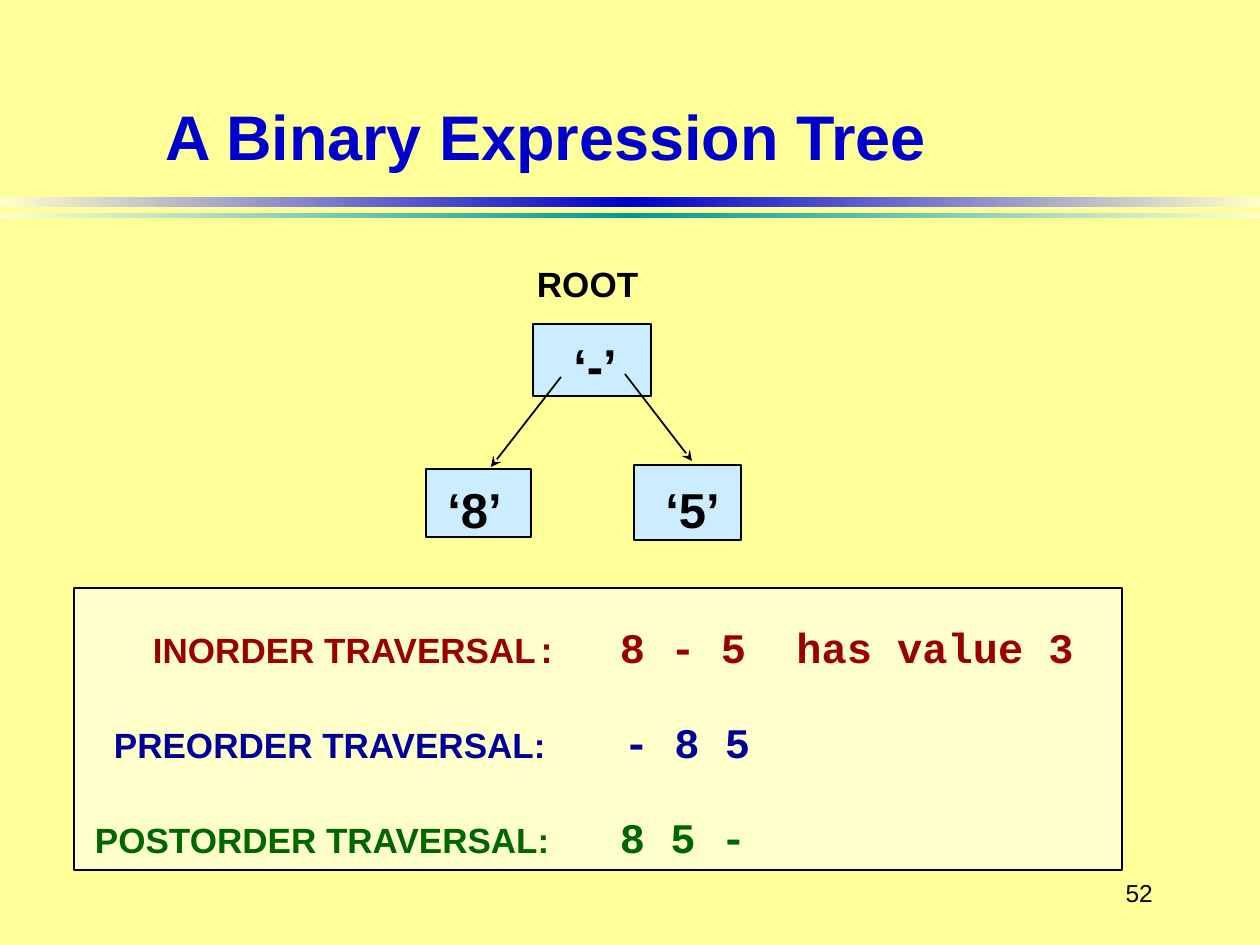
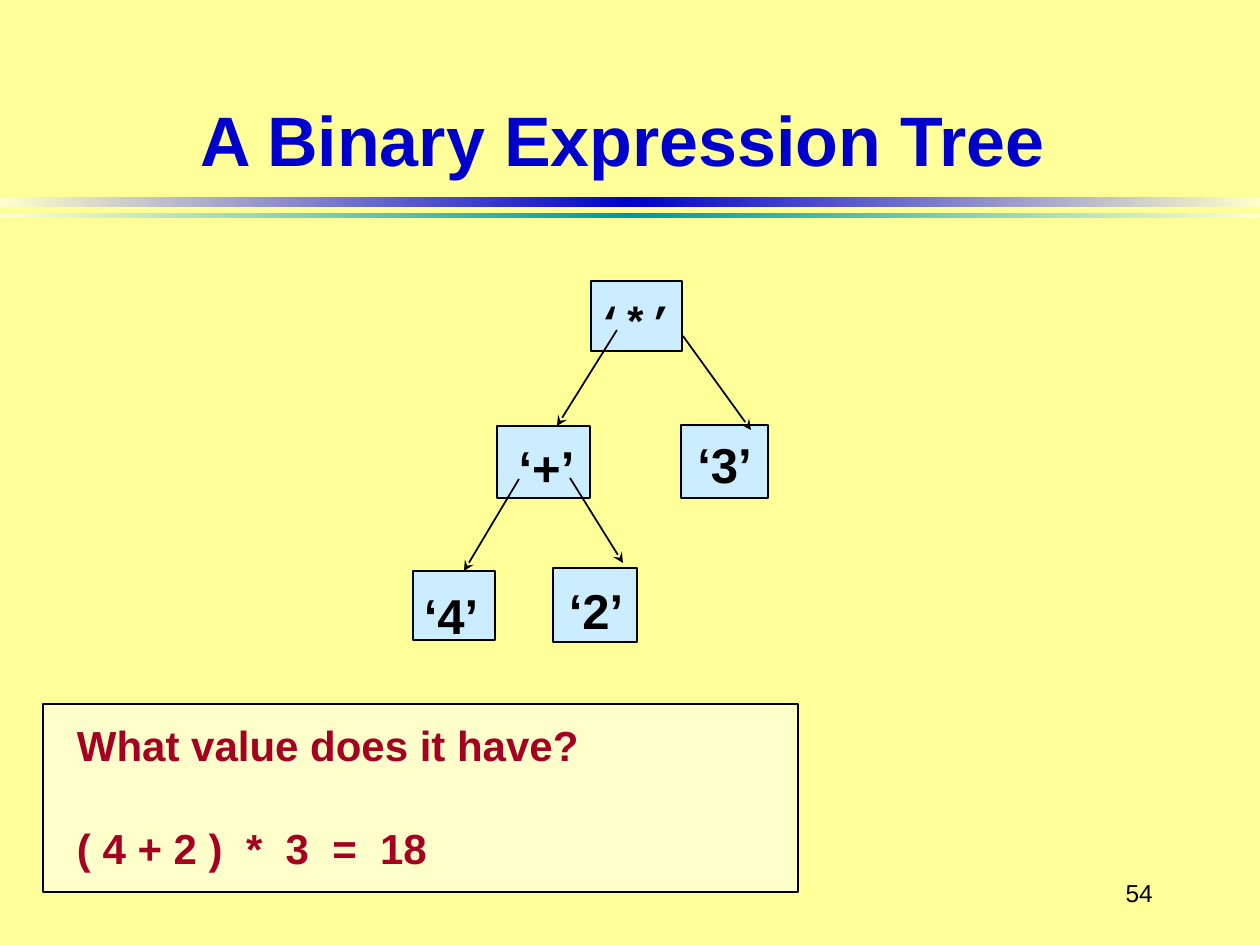
from copy import deepcopy

from pptx import Presentation
from pptx.dml.color import RGBColor
from pptx.enum import shapes, text
from pptx.oxml.ns import qn
from pptx.oxml.xmlchemy import OxmlElement
from pptx.util import Emu, Pt

PX = 914400 // 126  # one px in EMU

THEME = {
    "sans": "Arial", "mono": "Courier New",
    "paper": "FFFF99", "cream": "FFFFCC", "node": "CCECFF", "ink": "000000",
    "title": "0000CC", "teal": "009999", "answer": "A50021",
    "inorder": "990000", "preorder": "000099", "postorder": "006600",
    "label": 20, "value": 24, "symbol": 28, "number": 14,
}

# Bands under the title: top, height, middle colour
BANDS = [(197, 10, "title"), (213, 5, "teal")]
NUMBER_BOX = (1081, 861, 84, 63)

# Runs are (text, size, font); rows are (colour, tab stops, runs).
# Nodes are (box, label, size, font, label shift); arrows run parent to child.
SLIDES = [
    {
        "title": ("A Binary Expression Tree", 36, (84, 73, 924, 106)),
        "number": "52",
        "caption": ("ROOT", (525, 256, 127, 54)),
        "nodes": [
            ((533, 324, 118, 72), "‘-’", "symbol", "sans", (3, 5)),
            ((426, 469, 105, 68), "‘8’", "symbol", "sans", (-4, 6)),
            ((634, 465, 107, 75), "‘5’", "symbol", "sans", (5, 6)),
        ],
        "arrows": [((625, 374), (692, 461)), ((561, 377), (491, 467))],
        "panel": {
            "box": (74, 588, 1048, 282), "inset": (21, 34), "gap": 25.3,
            "rows": [
                ("inorder", (58, 525), [("\tINORDER TRAVERSAL", "label", "sans"),
                                        (":\t", "label", "mono"),
                                        ("8 - 5  has value 3", "value", "mono")]),
                ("preorder", (19, 529), [("\tPREORDER TRAVERSAL:\t", "label", "sans"),
                                         ("- 8 5", "value", "mono")]),
                ("postorder", (525,), [("POSTORDER TRAVERSAL:\t", "label", "sans"),
                                       ("8 5 -", "value", "mono")]),
            ],
        },
    },
    {
        "title": ("A Binary Expression Tree", 40, (82, 29, 1081, 158)),
        "number": "54",
        "nodes": [
            ((591, 281, 91, 70), "‘*’", "value", "mono", (-1, 5)),
            ((497, 426, 93, 72), "‘+’", "symbol", "sans", (3, 5)),
            ((681, 425, 87, 73), "‘3’", "symbol", "sans", (0, 2)),
            ((413, 571, 82, 69), "‘4’", "symbol", "sans", (-3, 9)),
            ((553, 568, 84, 74), "‘2’", "symbol", "sans", (1, 5)),
        ],
        "arrows": [((683, 336), (751, 430)), ((617, 330), (557, 426)),
                   ((570, 478), (623, 563)), ((519, 479), (464, 571))],
        "panel": {
            "box": (43, 704, 755, 188), "inset": (34, 16), "gap": 29.8,
            "rows": [
                ("answer", (), [("What value does it have?", "value", "sans")]),
                ("answer", (), [("( 4 + 2 )  *  3  =  18", "value", "sans")]),
            ],
        },
    },
]


def px(*lengths):
    return [Emu(n * PX) for n in lengths]


def rgb(name):
    return RGBColor.from_string(THEME[name])


def set_attrs(obj, values):
    for name, value in values.items():
        setattr(obj, name, value)


def set_frame(tf, anchor, insets=(0, 0, 0, 0), wrap=True):
    left, top, right, bottom = px(*insets)
    set_attrs(tf, {"margin_left": left, "margin_top": top, "margin_right": right,
                   "margin_bottom": bottom, "vertical_anchor": anchor,
                   "word_wrap": wrap, "auto_size": text.MSO_AUTO_SIZE.NONE})


def add_run(p, words, size, font="sans", color="ink", bold=True):
    r = p.add_run()
    r.text = words
    set_attrs(r.font, {"name": THEME[font], "size": Pt(THEME.get(size, size)), "bold": bold})
    r.font.color.rgb = rgb(color)


def add_tabs(p, stops):
    tabs = OxmlElement("a:tabLst")
    for stop in stops:
        tab = OxmlElement("a:tab")
        tab.set("pos", str(stop * PX))
        tab.set("algn", "l")
        tabs.append(tab)
    p._p.get_or_add_pPr().append(tabs)


def add_box(s, box, fill):
    sp = s.shapes.add_shape(shapes.MSO_SHAPE.RECTANGLE, *px(*box))
    sp.shadow.inherit = False
    sp.fill.solid()
    sp.fill.fore_color.rgb = rgb(fill)
    sp.line.color.rgb = rgb("ink")
    sp.line.width = Pt(1)
    return sp


def add_label(s, box, words, size, align, bold=True):
    tf = s.shapes.add_textbox(*px(*box)).text_frame
    set_frame(tf, text.MSO_ANCHOR.MIDDLE, (12, 6, 12, 6))
    tf.paragraphs[0].alignment = align
    add_run(tf.paragraphs[0], words, size, bold=bold)


def add_band(s, top, height, color):
    sp = add_box(s, (0, top, 1260, height), "cream")
    sp.line.fill.background()
    sp.fill.gradient()
    sp.fill.gradient_angle = 0
    stops = sp._element.spPr.find(".//" + qn("a:gsLst"))
    stops.append(deepcopy(stops[0]))
    for stop, name, position in zip(sp.fill.gradient_stops, ("cream", color, "cream"), (0, 0.5, 1)):
        stop.color.rgb = rgb(name)
        stop.position = position


def add_title(s, words, size, box):
    sp = s.shapes.title
    set_attrs(sp, dict(zip(("left", "top", "width", "height"), px(*box))))
    set_frame(sp.text_frame, text.MSO_ANCHOR.BOTTOM, (12, 6, 12, 6))
    p = sp.text_frame.paragraphs[0]
    p.alignment = text.PP_ALIGN.CENTER
    add_run(p, words, size, color="title")


def add_node(s, box, words, size, font, shift):
    tf = add_box(s, box, "node").text_frame
    # An inset on one side moves centred text by half its size
    dx, dy = shift
    set_frame(tf, text.MSO_ANCHOR.MIDDLE,
              (2 * max(dx, 0), 2 * dy, 2 * max(-dx, 0), 0), wrap=False)
    tf.paragraphs[0].alignment = text.PP_ALIGN.CENTER
    add_run(tf.paragraphs[0], words, size, font)


def add_arrow(s, start, end):
    cx = s.shapes.add_connector(shapes.MSO_CONNECTOR.STRAIGHT, *px(*start, *end))
    cx.line.color.rgb = rgb("ink")
    cx.line.width = Pt(1)
    head = OxmlElement("a:tailEnd")
    head.set("type", "stealth")
    cx.line._get_or_add_ln().append(head)
    cx._element.spPr.append(OxmlElement("a:effectLst"))


def add_panel(s, box, inset, gap, rows):
    tf = add_box(s, box, "cream").text_frame
    set_frame(tf, text.MSO_ANCHOR.TOP, (*inset, 0, 0))
    for i, (color, stops, runs) in enumerate(rows):
        p = tf.add_paragraph() if i else tf.paragraphs[0]
        p.alignment = text.PP_ALIGN.LEFT
        if i:
            p.space_before = Pt(gap)
        if stops:
            add_tabs(p, stops)
        for run in runs:
            add_run(p, *run, color=color)


def build_slide(prs, spec_):
    s = prs.slides.add_slide(prs.slide_layouts[5])
    # Shared frame
    for band in BANDS:
        add_band(s, *band)
    add_title(s, *spec_["title"])
    add_label(s, NUMBER_BOX, spec_["number"], "number", text.PP_ALIGN.RIGHT, bold=False)
    # Tree
    if "caption" in spec_:
        words, box = spec_["caption"]
        add_label(s, box, words, "label", text.PP_ALIGN.LEFT)
    for node in spec_["nodes"]:
        add_node(s, *node)
    for arrow in spec_["arrows"]:
        add_arrow(s, *arrow)
    # Results
    add_panel(s, **spec_["panel"])


def main():
    prs = Presentation()
    prs.slide_width, prs.slide_height = px(1260, 945)
    fill = prs.slide_master.background.fill
    fill.solid()
    fill.fore_color.rgb = rgb("paper")
    for content in SLIDES:
        build_slide(prs, content)
    prs.save("out.pptx")


if __name__ == "__main__":
    main()
